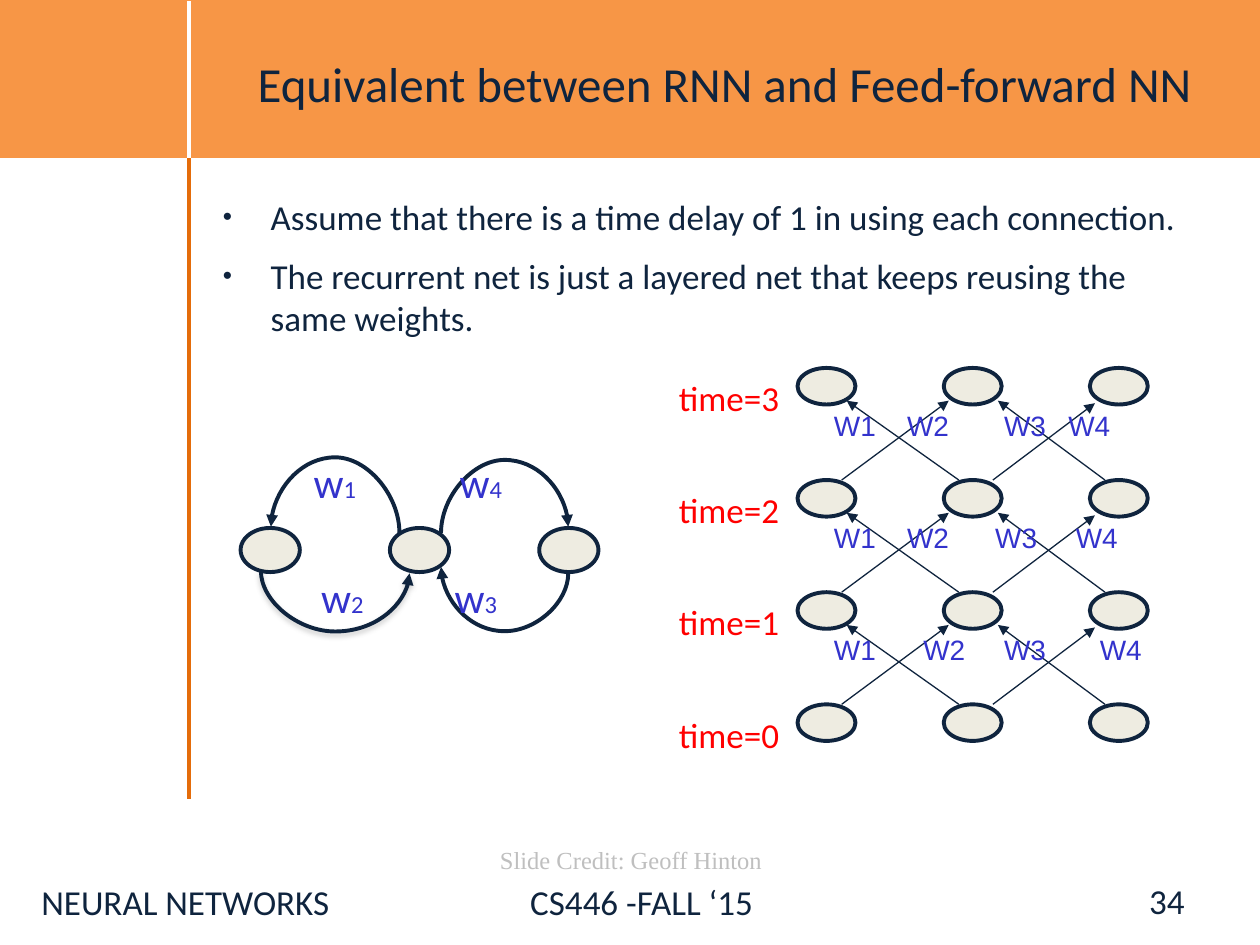
import pptx
import pptx.util
import pptx.dml.color
import pptx.enum.shapes
import pptx.enum.text
import pptx.oxml
import pptx.oxml.ns
from lxml import etree

COLORS = {
    "band": "F79646", "rule": "E46C0A", "white": "FFFFFF", "ink": "0F243E",
    "credit": "BFBFBF", "unit": "EEECE1", "weight": "3333CC", "time": "FF0000",
    "shadow": "808080",
}
COLUMNS, ROWS = 10, 7.5
ALIGN = pptx.enum.text.PP_ALIGN
ANCHOR = pptx.enum.text.MSO_ANCHOR
CONNECTOR = pptx.enum.shapes.MSO_CONNECTOR
SHAPE = pptx.enum.shapes.MSO_SHAPE


def color(name):
    return pptx.dml.color.RGBColor.from_string(COLORS[name])


def child(parent, tag, **attributes):
    element = etree.SubElement(parent, pptx.oxml.ns.qn(tag))
    for key, value in attributes.items():
        element.set(key, str(value))
    return element


class SlideBuilder:
    """Holds the style and the current slide; lengths are grid columns and rows."""

    def __init__(self, presentation):
        self.column = presentation.slide_width / COLUMNS
        self.row = presentation.slide_height / ROWS
        self.slide = presentation.slides.add_slide(presentation.slide_layouts[5])
        self.shapes = self.slide.shapes

    def place(self, left, top, width, height):
        return (round(left * self.column), round(top * self.row),
                round(width * self.column), round(height * self.row))

    def add_runs(self, paragraph, runs, tint, font="Calibri"):
        for text, size in runs:
            run = paragraph.add_run()
            run.text = text
            run.font.name = font
            run.font.size = pptx.util.Pt(size)
            run.font.color.rgb = color(tint)

    def title(self, text, box):
        title = self.shapes.title
        title.left, title.top, title.width, title.height = self.place(*box)
        title.text_frame.vertical_anchor = ANCHOR.MIDDLE
        paragraph = title.text_frame.paragraphs[0]
        paragraph.alignment = ALIGN.CENTER
        self.add_runs(paragraph, [(text, 28)], "ink")
        # Bring the title in front of the band
        title.element.getparent().append(title.element)

    def text(self, runs, box, tint="ink", font="Calibri", tabs=(), align=ALIGN.LEFT,
             anchor=ANCHOR.TOP, wrap=True):
        frame = self.shapes.add_textbox(*self.place(*box)).text_frame
        frame.word_wrap = wrap
        frame.vertical_anchor = anchor
        paragraph = frame.paragraphs[0]
        if tabs:
            stops = child(paragraph._p.get_or_add_pPr(), "a:tabLst")
            for stop in tabs:
                child(stops, "a:tab", pos=round(stop * self.column), algn="l")
        paragraph.alignment = align
        self.add_runs(paragraph, runs, tint, font)

    def bullets(self, items, box, size):
        frame = self.shapes.add_textbox(*self.place(*box)).text_frame
        frame.word_wrap = True
        indent = round(0.38 * self.column)
        for index, item in enumerate(items):
            paragraph = frame.add_paragraph() if index else frame.paragraphs[0]
            properties = paragraph._p.get_or_add_pPr()
            properties.set("marL", str(indent))
            properties.set("indent", str(-indent))
            child(properties, "a:buSzPct", val=75000)
            child(properties, "a:buFont", typeface="Arial")
            child(properties, "a:buChar", char="•")
            if index:
                paragraph.space_before = pptx.util.Pt(size / 2)
            self.add_runs(paragraph, [(item, size)], "ink")

    def shape(self, kind, box, fill, line, weight):
        shape = self.shapes.add_shape(kind, *self.place(*box))
        shape.shadow.inherit = False
        shape.fill.solid()
        shape.fill.fore_color.rgb = color(fill)
        shape.line.color.rgb = color(line)
        shape.line.width = pptx.util.Pt(weight)

    def unit(self, left, top, width, height):
        self.shape(SHAPE.OVAL, (left, top, width, height), "unit", "ink", 2.25)

    def line(self, start, end, tint="ink", weight=0.75, arrow=False,
             kind=CONNECTOR.STRAIGHT):
        line = self.shapes.add_connector(kind, *self.place(*start, *end))
        line.line.color.rgb = color(tint)
        line.line.width = pptx.util.Pt(weight)
        if arrow:
            child(line.line._get_or_add_ln(), "a:tailEnd", type="triangle")
        effects = child(line._element.spPr, "a:effectLst")
        return line, effects

    def loop(self, start, end, peak, shadow=False):
        """Curved arrow that swings out to the height of peak."""
        (x1, y1), (x2, y2) = start, end
        # The frame lies a quarter turn round, so its sides swap
        middle_x, middle_y = (x1 + x2) / 2, (y1 + y2) / 2
        half_w, half_h = abs(y2 - y1) / 2, abs(x2 - x1) / 2
        curve, effects = self.line(
            (middle_x - half_w, middle_y - half_h),
            (middle_x + half_w, middle_y + half_h),
            weight=2.25, arrow=True, kind=CONNECTOR.CURVE)
        properties = curve._element.spPr
        frame = properties.find(pptx.oxml.ns.qn("a:xfrm"))
        frame.set("rot", str(270 * 60000))
        frame.set("flipH", str(int(y2 > y1)))
        frame.set("flipV", str(int(x2 < x1)))
        guides = properties.find(".//" + pptx.oxml.ns.qn("a:avLst"))
        swing = round((peak - y1) / (y2 - y1) * 100000)
        child(guides, "a:gd", name="adj1", fmla=f"val {swing}")
        if shadow:
            cast = child(effects, "a:outerShdw", blurRad=pptx.util.Pt(3.1),
                         dist=pptx.util.Pt(1.6), dir=90 * 60000, rotWithShape=0)
            tint = child(cast, "a:srgbClr", val=COLORS["shadow"])
            child(tint, "a:alpha", val=38000)


def main():
    presentation = pptx.Presentation()
    presentation.slide_width = pptx.util.Inches(10)
    presentation.slide_height = pptx.util.Inches(7.5)
    page = SlideBuilder(presentation)

    # Band, rules and title
    page.shape(SHAPE.RECTANGLE, (0, 0, COLUMNS, 1.25), "band", "band", 0.75)
    page.line((1.5, 1.25), (1.5, 6.34), "rule", 2.5)
    page.line((1.5, 0.01), (1.5, 1.25), "white", 2.5)
    page.title("Equivalent between RNN and Feed-forward NN", (1.5, 0.03, 8.5, 1.25))

    # Statements
    page.bullets([
        "Assume that there is a time delay of 1 in using each connection.",
        "The recurrent net is just a layered net that keeps reusing the same weights.",
    ], (1.67, 1.5, 7.83, 4.95), 20)

    # Footer
    page.text([("NEURAL NETWORKS\tCS446 -FALL ‘15", 20)], (0.23, 6.94, 9.6, 0.56),
              tabs=[3.88])
    page.text([("34", 20)], (7.17, 6.95, 2.33, 0.4), align=ALIGN.RIGHT,
              anchor=ANCHOR.MIDDLE)
    page.text([("Slide Credit: Geoff Hinton", 14)], (3.87, 6.66, 2.3, 0.34),
              "credit", "Times New Roman", wrap=False)

    # Layered net: one layer per time step, bottom to top
    links = [(6.68, 7.53, 0.63), (8.77, 7.92, 0.63), (7.61, 6.72, 0.63), (7.88, 8.69, 0.61)]
    weight_stops = [(0.71, 1.35, 2.11), (0.58, 1.28, 1.92), (0.58, 1.35, 1.86)]
    layer_tops = [5.59 - 0.89 * time for time in range(4)]
    for time, top in enumerate(layer_tops):
        for unit in range(3):
            page.unit(6.33 + 1.16 * unit, top, 0.46, 0.29)
        page.text([(f"time={time}", 20)], (5.29, top + 0.02, 1.04, 0.47), "time")
    for top, stops in zip(layer_tops, weight_stops):
        for start, end, rise in links:
            page.line((start, top), (end, top - rise), arrow=True)
        page.text([("W1\tW2\tW3\tW4", 16)], (6.52, top - 0.62, 2.82, 0.4),
                  "weight", "Arial", tabs=stops)

    # Recurrent net
    for unit in range(3):
        page.unit(1.91 + 1.185 * unit, 4.19, 0.47, 0.35)
    page.loop((4.51, 4.55), (3.5, 4.5), 5.01)
    page.loop((3.17, 4.23), (2.15, 4.18), 3.63)
    page.loop((3.5, 4.23), (4.51, 4.18), 3.65)
    page.loop((2.07, 4.53), (3.25, 4.55), 5.01, shadow=True)
    for left, top, first, second, stop in [(2.39, 3.57, "1", "4", 1.16),
                                           (2.45, 4.49, "2", "3", 1.06)]:
        page.text([("w", 24), (first, 14), ("\tw", 24), (second, 14)],
                  (left, top, 2.17, 0.51), "weight", tabs=[stop])

    presentation.save("out.pptx")


if __name__ == "__main__":
    main()
